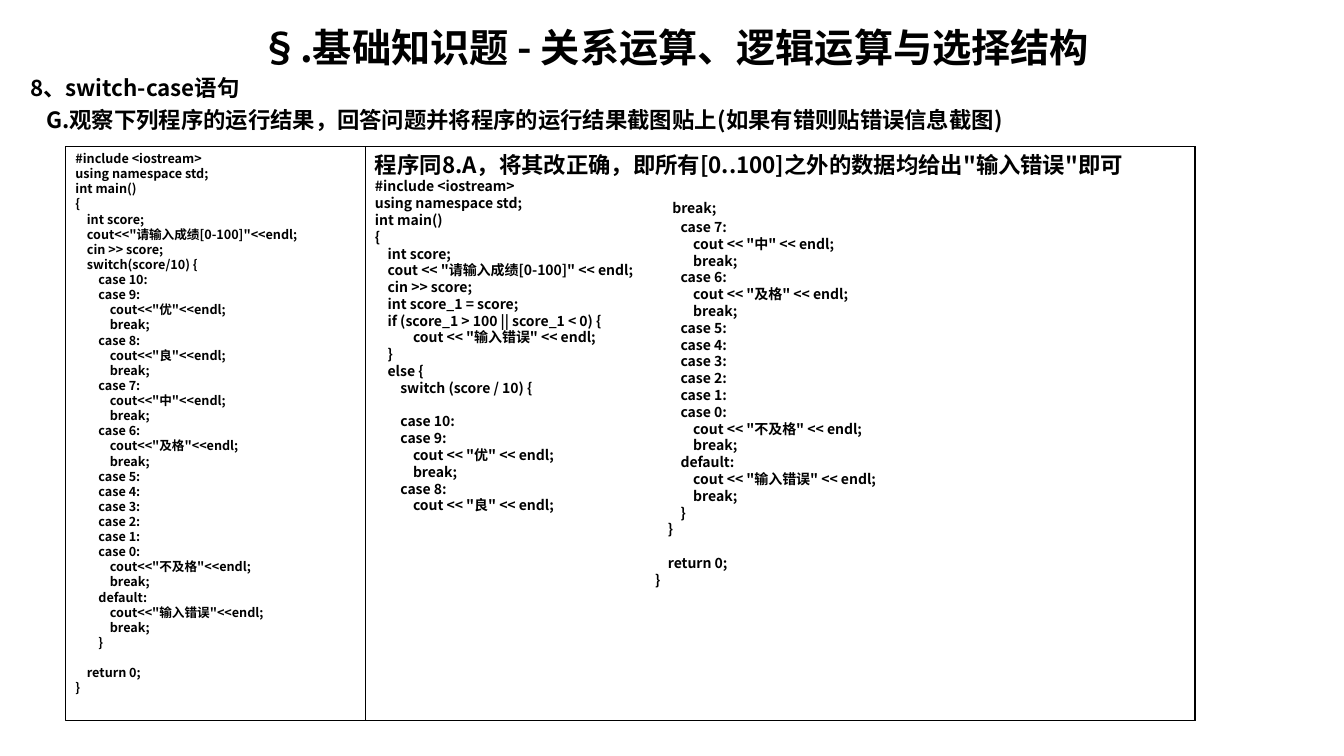
"""Build the switch-case exercise slide: heading, given code and corrected code."""
from lxml import etree
from pptx import Presentation
from pptx.dml.color import RGBColor
from pptx.enum.shapes import MSO_SHAPE
from pptx.enum.text import MSO_ANCHOR, PP_ALIGN
from pptx.oxml.ns import qn
from pptx.util import Inches, Pt

RECT = MSO_SHAPE.RECTANGLE
TOP = MSO_ANCHOR.TOP
LEFT, MID = PP_ALIGN.LEFT, PP_ALIGN.CENTER
FONT = "Noto Sans CJK SC"
LEAD = 1.2

HEADS = """§.基础知识题 - 关系运算、逻辑运算与选择结构
8、switch-case语句
G.观察下列程序的运行结果，回答问题并将程序的运行结果截图贴上(如果有错则贴错误信息截图)"""

GIVEN = """#include <iostream>
using namespace std;
int main()
{
    int score;
    cout<<"请输入成绩[0-100]"<<endl;
    cin >> score;
    switch(score/10) {
        case 10:
        case 9:
            cout<<"优"<<endl;
            break;
        case 8:
            cout<<"良"<<endl;
            break;
        case 7:
            cout<<"中"<<endl;
            break;
        case 6:
            cout<<"及格"<<endl;
            break;
        case 5:
        case 4:
        case 3:
        case 2:
        case 1:
        case 0:
            cout<<"不及格"<<endl;
            break;
        default:
            cout<<"输入错误"<<endl;
            break;
        }

    return 0;
}"""

FIXED = """程序同8.A，将其改正确，即所有[0..100]之外的数据均给出"输入错误"即可
#include <iostream>
using namespace std;
int main()
{
    int score;
    cout << "请输入成绩[0-100]" << endl;
    cin >> score;
    int score_1 = score;
    if (score_1 > 100 || score_1 < 0) {
            cout << "输入错误" << endl;
    }
    else {
        switch (score / 10) {

        case 10:
        case 9:
            cout << "优" << endl;
            break;
        case 8:
            cout << "良" << endl;"""

REST = """   break;
        case 7:
            cout << "中" << endl;
            break;
        case 6:
            cout << "及格" << endl;
            break;
        case 5:
        case 4:
        case 3:
        case 2:
        case 1:
        case 0:
            cout << "不及格" << endl;
            break;
        default:
            cout << "输入错误" << endl;
            break;
        }
    }

    return 0;
}"""


def tint(code):
    """Turn a hex string into a colour."""
    return RGBColor.from_string(code)


def write(shape, text, first, size):
    """Fill a shape with bold lines; the first line has its own size."""
    frame = shape.text_frame
    frame.word_wrap = True
    frame.vertical_anchor = TOP
    frame.text = text
    for i, para in enumerate(frame.paragraphs):
        pts = size if i else first
        para.alignment = LEFT
        para.line_spacing = Pt(pts * LEAD)
        para.font.size = Pt(pts)
        for run in para.runs:
            run.font.size = Pt(pts)
            run.font.bold = True
            run.font.color.rgb = tint("000000")
            run.font.name = FONT
            props = run.font._element
            etree.SubElement(props, qn("a:ea")).set("typeface", FONT)
    return frame.paragraphs


deck = Presentation()
deck.slide_width, deck.slide_height = Inches(13.33), Inches(7.5)
col, row = deck.slide_width / 100, deck.slide_height / 100
slide = deck.slides.add_slide(deck.slide_layouts[6])
shapes = slide.shapes

head = shapes.add_textbox(int(1.5 * col), int(2.4 * row), int(97.45 * col), int(94.53 * row))
title, *subs = write(head, HEADS, 28, 16)
title.alignment = MID
for sub in subs:
    sub.space_before = Pt(3.2)
subs[-1]._p.get_or_add_pPr().set("marL", str(int(1.2 * col)))

right = 88.92
for left, text, first, size in ((4.88, GIVEN, 9, 9), (27.16, FIXED, 16, 10)):
    pane = shapes.add_shape(RECT, int(left * col), int(19.33 * row), int((right - left) * col), int(76 * row))
    pane.shadow.inherit = False
    pane.fill.background()
    pane.line.color.rgb = tint("000000")
    pane.line.width = Pt(0.75)
    write(pane, text, first, size)

tail = shapes.add_textbox(int(48.01 * col), int(24.27 * row), int(24.76 * col), int(56.93 * row))
lines = write(tail, REST, 18, 10)
start = lines[0].runs[0]
start.text = "   "
word = lines[0].add_run()
word.text = "break;"
word.font.size = Pt(10)
word.font.bold = True
word.font.color.rgb = tint("000000")
word.font.name = FONT

deck.save("out.pptx")
